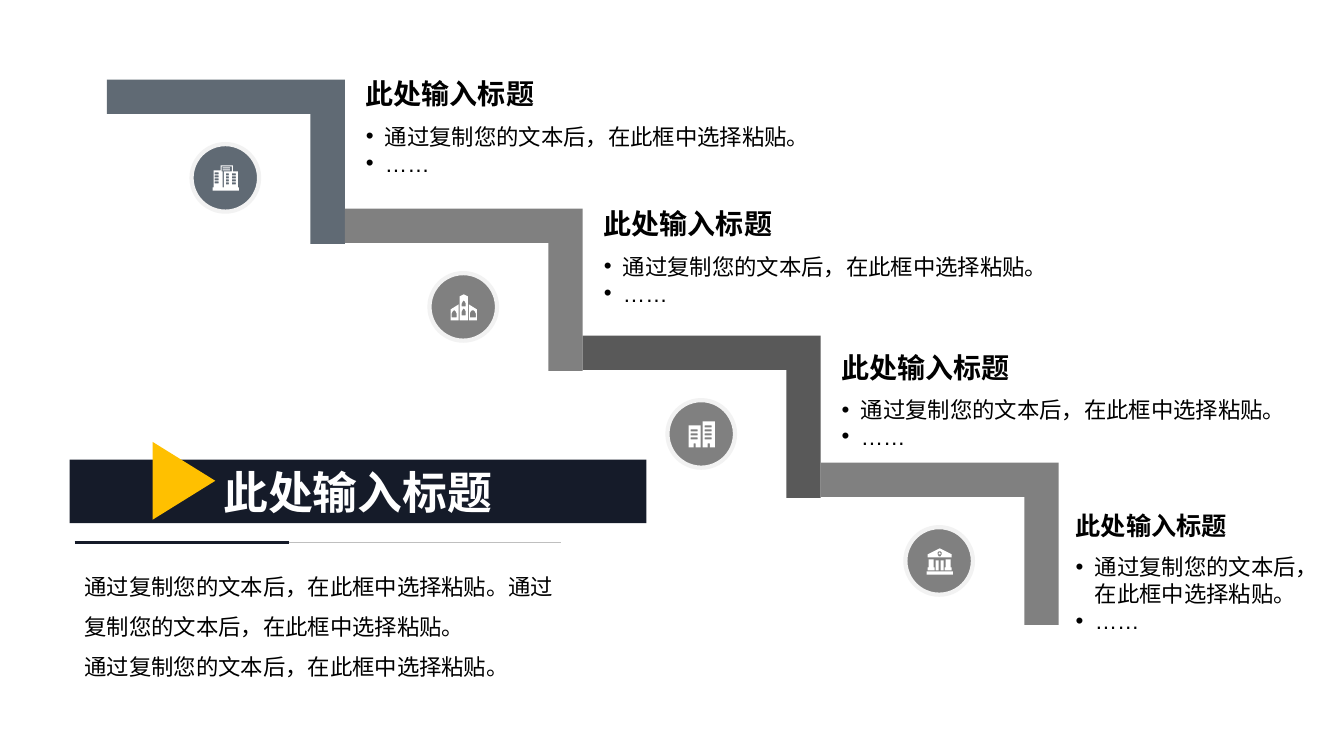
from dataclasses import dataclass

from lxml import etree
from pptx import Presentation
from pptx.dml.color import RGBColor
from pptx.enum.shapes import MSO_CONNECTOR as Connector, MSO_SHAPE as Preset
from pptx.enum.text import MSO_ANCHOR as Anchor, PP_ALIGN as Align
from pptx.oxml.ns import qn
from pptx.util import Inches, Pt

Contour = list[tuple[float, float]]

FONT = "Arial"
BLACK, WHITE, NAVY = "000000", "FFFFFF", "151B29"
SLATE, GRAY, CHARCOAL = "606A74", "808080", "595959"
TITLE = "此处输入标题"
SENTENCE = "通过复制您的文本后，在此框中选择粘贴。"
BULLETS = [SENTENCE, "……"]
FIRST_LEFT, STEP_WIDTH, BAND = 1.06, 2.36, 0.34
CIRCLE_SIZE, ICON_INSET = 0.67, 0.21


@dataclass
class Step:
    top: float
    height: float
    color: str
    circle_color: str
    icon: list[Contour]
    text_left: float
    title_top: float
    title_size: int = 20
    title_height: float = 0.48
    body_width: float = 6.43


def box(left: float, top: float, right: float, bottom: float) -> Contour:
    return [(left, top), (right, top), (right, bottom), (left, bottom)]


def arch(left: float, top: float, right: float, bottom: float) -> Contour:
    return [(left, bottom), (left, top + 3), (left + 0.7, top + 1), (left + 2, top),
            (right - 2, top), (right - 0.7, top + 1), (right, top + 3), (right, bottom)]


def octagon(x: float, y: float, radius: float) -> Contour:
    cut = radius * 0.41
    return [(x - cut, y - radius), (x + cut, y - radius), (x + radius, y - cut),
            (x + radius, y + cut), (x + cut, y + radius), (x - cut, y + radius),
            (x - radius, y + cut), (x - radius, y - cut)]


def windows(left: float, right: float, top: float, count: int, pitch: float) -> list[Contour]:
    return [box(left, top + i * pitch, right, top + i * pitch + 1.6) for i in range(count)]


def tower(left: float, top: float, floors: int) -> list[Contour]:
    right, door = left + 12, left + 5
    outline = [(left, top), (right, top), (right, 26), (door + 2, 26),
               (door + 2, 22), (door, 22), (door, 26), (left, 26)]
    return [outline, *windows(left + 2, left + 9.5, top + 4, floors, 4.1)]


OFFICE = [
    [(20, 0), (8, 0), (8, 5), (1, 5), (1, 22), (0, 22), (0, 25), (26, 25),
     (26, 22), (25, 22), (25, 6), (20, 6)],
    [(19, 1), (19, 6), (11, 6), (11, 22), (10, 22), (10, 6), (9, 6), (9, 1)],
    box(10, 2, 17, 3), box(10, 4, 17, 5),
    *windows(2, 6, 7, 4, 3), *windows(13, 16, 8, 4, 3), *windows(19, 23, 8, 4, 3),
]
CHURCH = [
    [(8, 10), (0, 15), (0, 26), (8, 26)], [(18, 10), (26, 15), (26, 26), (18, 26)],
    [(13, 0), (9, 1.5), (9, 26), (17, 26), (17, 1.5)],
    arch(1, 16, 6, 23), arch(19.5, 16, 25, 23), arch(11, 14, 15, 21), arch(11, 6, 15, 12),
]
TOWERS = [*tower(0, 4, 3), *tower(14, 0, 4)]
BANK = [
    [(13, 0), (1, 6), (1, 9), (25, 9), (25, 6)], octagon(13, 5.3, 2.3), octagon(13, 5.3, 1),
    box(0, 23, 26, 26), box(9, 12, 11.5, 22), box(14, 12, 16.5, 22),
    *[[(x + 1, 11), (x + 6, 11), (x + 6, 19), (x + 7, 19), (x + 7, 22), (x, 22), (x, 19),
       (x + 1, 19)] for x in (1, 18)],
]

STEPS = [
    Step(0.79, 1.63, SLATE, SLATE, OFFICE, 3.53, 0.69),
    Step(2.07, 1.61, GRAY, GRAY, CHURCH, 5.89, 1.98),
    Step(3.33, 1.61, CHARCOAL, GRAY, TOWERS, 8.25, 3.4, body_width=5.41),
    Step(4.59, 1.61, GRAY, GRAY, BANK, 10.57, 4.99, 18, 0.45, 2.56),
]


def rgb(value: str) -> RGBColor:
    return RGBColor.from_string(value)


def paint(shape, color: str) -> None:
    shape.shadow.inherit = False
    shape.fill.solid()
    shape.fill.fore_color.rgb = rgb(color)
    shape.line.fill.background()


def add_preset(slide, preset, left: float, top: float, width: float, height: float, color: str):
    shape = slide.shapes.add_shape(preset, Inches(left), Inches(top), Inches(width), Inches(height))
    paint(shape, color)
    return shape


def add_outline(slide, contours: list[Contour], left: float, top: float, color: str) -> None:
    placed = [[(left * 100 + x, top * 100 + y) for x, y in contour] for contour in contours]
    builder = slide.shapes.build_freeform(*placed[0][0], scale=Inches(0.01))
    builder.add_line_segments(placed[0][1:])
    for contour in placed[1:]:
        builder.move_to(*contour[0])
        builder.add_line_segments(contour[1:])
    paint(builder.convert_to_shape(), color)


def write(frame, texts: list[str], size: int, color: str = BLACK, bold: bool = False,
          bulleted: bool = False, spacing: float | None = None, align=Align.LEFT) -> None:
    frame.word_wrap = True
    for index, text in enumerate(texts):
        paragraph = frame.paragraphs[0] if index == 0 else frame.add_paragraph()
        paragraph.text = text
        paragraph.alignment = align
        if spacing:
            paragraph.line_spacing = spacing
        properties = paragraph._p.get_or_add_pPr()
        if bulleted:
            properties.set("marL", str(Inches(0.19)))
            properties.set("indent", str(Inches(-0.19)))
            etree.SubElement(properties, qn("a:buFont"), typeface=FONT)
            etree.SubElement(properties, qn("a:buChar"), char="•")
        font = paragraph.font
        font.name, font.size, font.bold = FONT, Pt(size), bold
        font.color.rgb = rgb(color)
        etree.SubElement(properties.find(qn("a:defRPr")), qn("a:ea"), typeface=FONT)


def add_text(slide, left: float, top: float, width: float, height: float, texts: list[str],
             size: int, anchor=Anchor.TOP, **style) -> None:
    frame = slide.shapes.add_textbox(
        Inches(left), Inches(top), Inches(width), Inches(height)).text_frame
    frame.vertical_anchor = anchor
    write(frame, texts, size, **style)


def add_rule(slide, right: float, color: str, width: float) -> None:
    rule = slide.shapes.add_connector(
        Connector.STRAIGHT, Inches(0.74), Inches(5.38), Inches(right), Inches(5.38))
    rule.line.color.rgb = rgb(color)
    rule.line.width = Pt(width)
    etree.SubElement(rule._element.spPr, qn("a:effectLst"))


def add_step(slide, step: Step, left: float) -> None:
    right, bottom, band = STEP_WIDTH * 100, step.height * 100, BAND * 100
    corner = [(0, 0), (right, 0), (right, bottom), (right - band, bottom),
              (right - band, band), (0, band)]
    add_outline(slide, [corner], left, step.top, step.color)

    circle_left, circle_top = left + 0.84, step.top + 0.64
    circle = add_preset(slide, Preset.OVAL, circle_left, circle_top,
                        CIRCLE_SIZE, CIRCLE_SIZE, step.circle_color)
    circle.line.color.rgb = rgb("F2F2F2")
    circle.line.width = Pt(3)
    add_outline(slide, step.icon, circle_left + ICON_INSET, circle_top + ICON_INSET, WHITE)

    add_text(slide, step.text_left, step.title_top + step.title_height, step.body_width, 0.76,
             BULLETS, 16, bulleted=True)
    add_text(slide, step.text_left, step.title_top, 2.36, step.title_height,
             [TITLE], step.title_size, Anchor.MIDDLE, bold=True)


def main() -> None:
    presentation = Presentation()
    presentation.slide_width, presentation.slide_height = Inches(13.33), Inches(7.5)
    slide = presentation.slides.add_slide(presentation.slide_layouts[6])

    for index, step in enumerate(STEPS):
        add_step(slide, step, FIRST_LEFT + index * STEP_WIDTH)

    add_text(slide, 0.74, 5.5, 4.99, 1.08, [SENTENCE * 2, SENTENCE], 16, spacing=1.5)
    add_rule(slide, 5.56, "BFBFBF", 0.25)
    add_rule(slide, 2.87, NAVY, 2.25)
    banner = add_preset(slide, Preset.RECTANGLE, 0.69, 4.56, 5.72, 0.63, NAVY)
    banner.text_frame.vertical_anchor = Anchor.BOTTOM
    write(banner.text_frame, [TITLE], 32, WHITE, bold=True, align=Align.CENTER)
    pointer = add_preset(slide, Preset.ISOSCELES_TRIANGLE, 1.44, 4.46, 0.77, 0.62, "FFC000")
    pointer.rotation = 90

    presentation.save("out.pptx")


if __name__ == "__main__":
    main()
